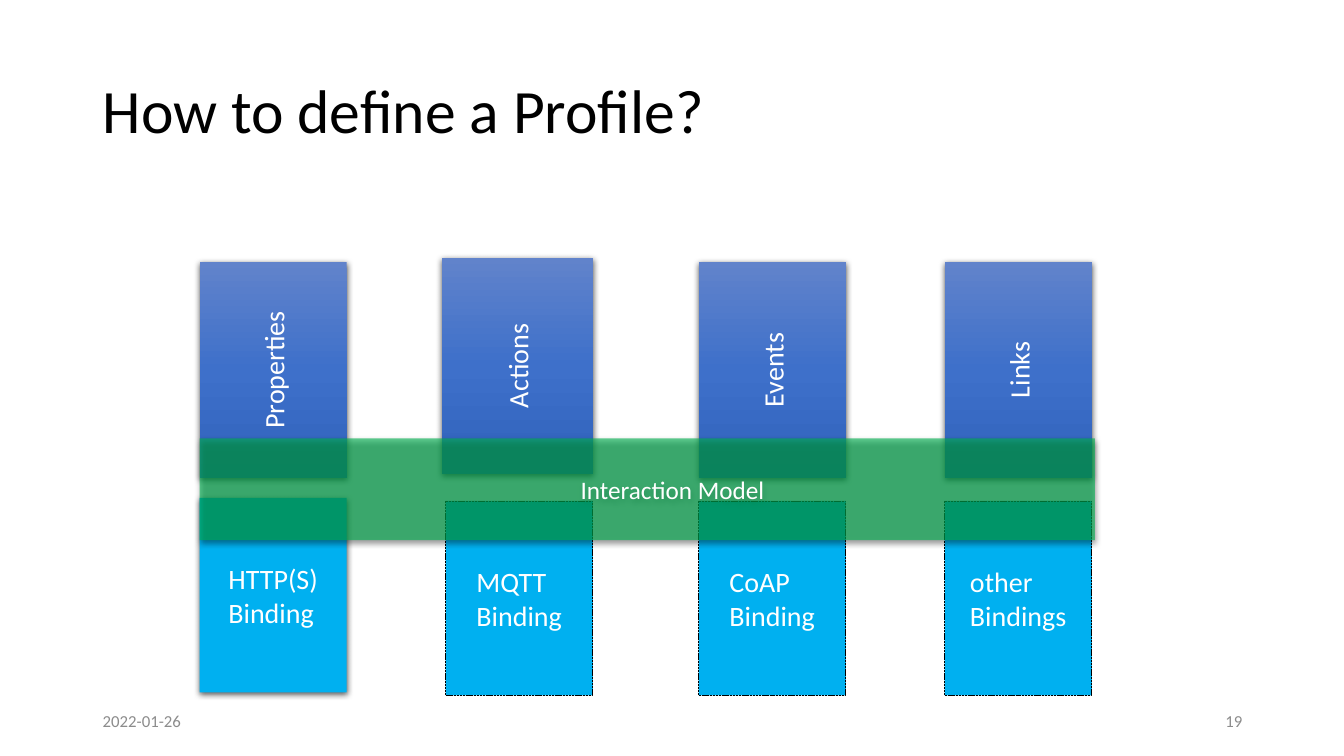
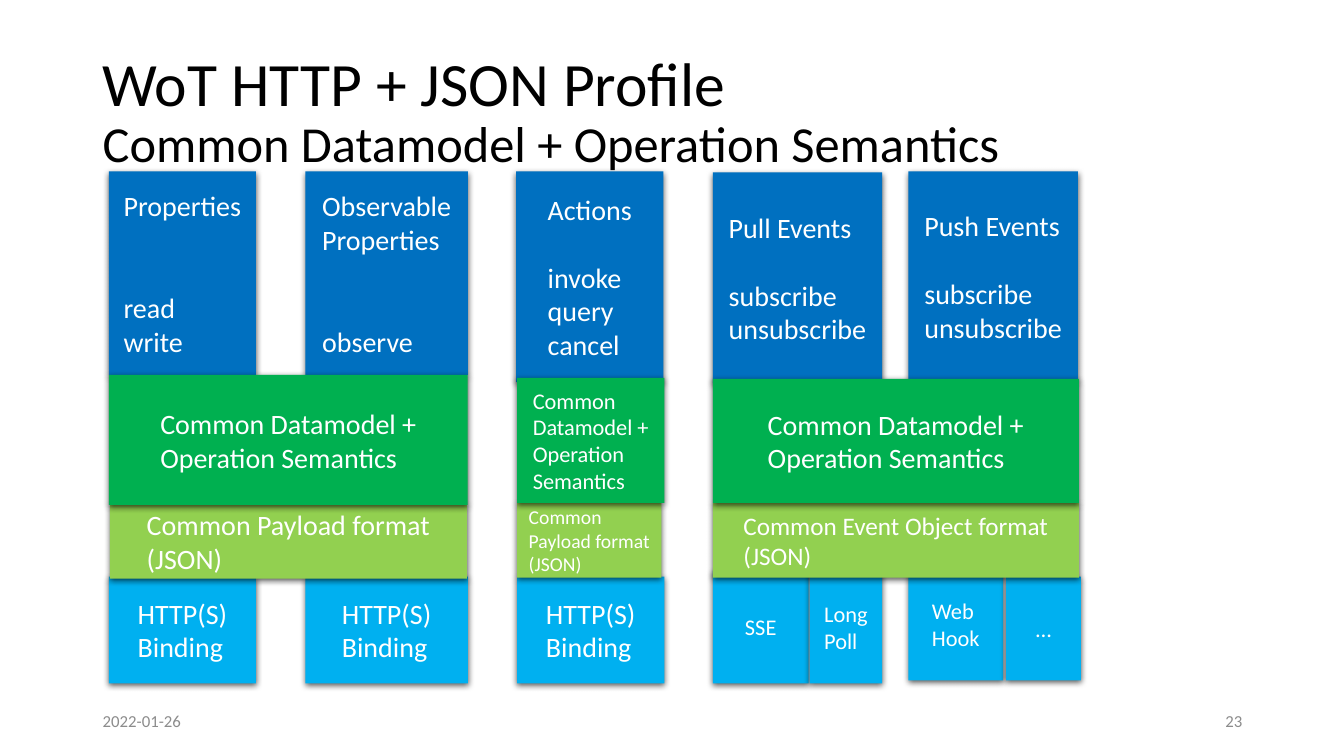
from pptx import Presentation
from pptx.dml.color import RGBColor as RGB
from pptx.enum.dml import MSO_LINE as Dash
from pptx.enum.shapes import MSO_SHAPE as Geo
from pptx.enum.text import MSO_ANCHOR as Anchor, PP_ALIGN as Align
from pptx.oxml.ns import qn
from pptx.util import Inches, Pt
from lxml.etree import SubElement as Sub

FONT = "Calibri"
DATE = "2022-01-26"
LINE = 24.4
HUES = {
    "black": "000000", "white": "FFFFFF", "gray": "8C8C8C",
    "blue": "0070C0", "cyan": "00B0F0", "lime": "92D050", "green": "00B050",
}
RAMP = [(0, "6183CB"), (50, "3E70CA"), (100, "3062BB")]
HTTP = "HTTP(S)\nBinding"
MODEL = "Common Datamodel + Operation Semantics"


def hue(name):
    return RGB.from_string(HUES[name])


def style(para, size, color, align=Align.LEFT):
    para.alignment = align
    para.font.name = FONT
    para.font.size = Pt(size)
    para.font.color.rgb = hue(color)


def write(frame, text, size, color="white", align=Align.LEFT):
    frame.word_wrap = True
    frame.vertical_anchor = Anchor.MIDDLE
    frame.text = text
    for para in frame.paragraphs:
        style(para, size, color, align)


def label(slide, box, text, size, color, align=Align.LEFT):
    frame = slide.shapes.add_textbox(*map(Inches, box)).text_frame
    write(frame, text, size, color, align)
    return frame


def start(deck, title, number, sub=None):
    slide = deck.slides.add_slide(deck.slide_layouts[6])
    text = f"{title}\n{sub}" if sub else title
    frame = label(slide, (0.92, 0.4, 11.5, 1.45), text, 44, "black")
    for para in frame.paragraphs:
        para.line_spacing = 0.9
    if sub:
        frame.paragraphs[1].font.size = Pt(36)
    label(slide, (0.92, 6.95, 3, 0.4), DATE, 12, "gray")
    label(slide, (9.42, 6.95, 3, 0.4), number, 12, "gray", Align.RIGHT)
    return slide


def shade(shape):
    glow = Sub(shape.element.spPr.find(qn("a:effectLst")), qn("a:outerShdw"),
               blurRad=str(Pt(4.5)), dist=str(Pt(1.5)), dir="5400000",
               algn="ctr", rotWithShape="0")
    tint = Sub(glow, qn("a:srgbClr"), val=HUES["black"])
    Sub(tint, qn("a:alpha"), val="63000")


def block(slide, box, color, text, size=20, dashed=False):
    shape = slide.shapes.add_shape(Geo.RECTANGLE, *map(Inches, box))
    shape.shadow.inherit = False
    shape.fill.solid()
    shape.fill.fore_color.rgb = hue(color)
    if dashed:
        shape.line.color.rgb = hue("black")
        shape.line.width = Pt(0.5)
        shape.line.dash_style = Dash.SQUARE_DOT
    else:
        shape.line.fill.background()
        shade(shape)
    write(shape.text_frame, text, size)
    shape.text_frame._txBody.bodyPr.set("anchorCtr", "1")
    return shape


def pillar(slide, box, text):
    shape = block(slide, box, "blue", text)
    shape.fill.gradient()
    shape.fill.gradient_angle = 270
    stops = shape.element.spPr.find(qn("a:gradFill")).find(qn("a:gsLst"))
    for stop in list(stops):
        stops.remove(stop)
    for place, code in RAMP:
        stop = Sub(stops, qn("a:gs"), pos=str(place * 1000))
        Sub(stop, qn("a:srgbClr"), val=code)
    frame = shape.text_frame
    frame._txBody.bodyPr.set("vert", "vert270")
    frame.paragraphs[0].alignment = Align.CENTER


def band(slide, box, text):
    shape = block(slide, box, "green", text, 18)
    tint = shape.element.spPr.find(qn("a:solidFill"))[0]
    Sub(tint, qn("a:alpha"), val="62000")
    para = shape.text_frame.paragraphs[0]
    para.alignment = Align.CENTER
    para._p.get_or_add_pPr().set("marL", str(Inches(0.5)))


def card(slide, box, head, verbs, gap):
    shape = block(slide, box, "blue", f"{head}\n{verbs}")
    shape.text_frame.paragraphs[1].space_before = Pt(gap * LINE)


def define(deck):
    slide = start(deck, "How to define a Profile?", "19")
    cols = [
        (1.98, HTTP, (1.98, 2.6, 1.46, 2.14), "Properties"),
        (4.42, "MQTT\nBinding", (4.38, 2.56, 1.5, 2.14), "Actions"),
        (6.93, "CoAP\nBinding", (6.93, 2.6, 1.46, 2.14), "Events"),
        (9.37, "other\nBindings", (9.37, 2.6, 1.46, 2.14), "Links"),
    ]
    for left, text, box, name in cols:
        dashed = text != HTTP
        top = 4.97 if dashed else 4.94
        pillar(slide, box, name)
        block(slide, (left, top, 1.46, 1.93), "cyan", text, dashed=dashed)
    band(slide, (1.98, 4.35, 8.88, 1.01), "Interaction Model")


def profile(deck):
    slide = start(deck, "WoT HTTP + JSON Profile", "23", MODEL)
    events = "subscribe\nunsubscribe"
    cards = [
        ((1.08, 1.7, 1.46, 2.02), "Properties", "read\nwrite", 2),
        ((3.03, 1.7, 1.61, 2.02), "Observable Properties", "observe", 2),
        ((5.12, 1.7, 1.46, 2.09), "Actions", "invoke\nquery\ncancel", 1),
        ((7.07, 1.71, 1.68, 2.09), "Pull Events", events, 1),
        ((9.01, 1.7, 1.68, 2.08), "Push Events", events, 1),
    ]
    for item in cards:
        card(slide, *item)
    for left, width in [(1.08, 1.46), (3.03, 1.61), (5.13, 1.46)]:
        block(slide, (left, 5.72, width, 1.06), "cyan", HTTP)
    payload = "Common Payload format (JSON)"
    parts = [
        ((7.07, 5.66, 0.95, 1.12), "cyan", "SSE", 16),
        ((8.03, 5.66, 0.72, 1.12), "cyan", "Long\nPoll", 16),
        ((9.01, 5.63, 0.94, 1.12), "cyan", "Web\nHook", 16),
        ((9.98, 5.72, 0.74, 1.03), "cyan", "…", 16),
        ((7.07, 4.99, 3.63, 0.74), "lime", "Common Event Object format (JSON)", 18),
        ((1.09, 5, 3.54, 0.74), "lime", payload, 20),
        ((5.13, 4.99, 1.43, 0.74), "lime", payload, 14),
        ((7.07, 3.76, 3.63, 1.23), "green", MODEL, 20),
        ((1.08, 3.72, 3.56, 1.29), "green", MODEL, 20),
        ((5.13, 3.75, 1.46, 1.24), "green", MODEL, 16),
    ]
    for part in parts:
        block(slide, *part)


def main():
    deck = Presentation()
    deck.slide_width, deck.slide_height = Inches(13.33), Inches(7.5)
    define(deck)
    profile(deck)
    deck.save("out.pptx")


if __name__ == "__main__":
    main()
